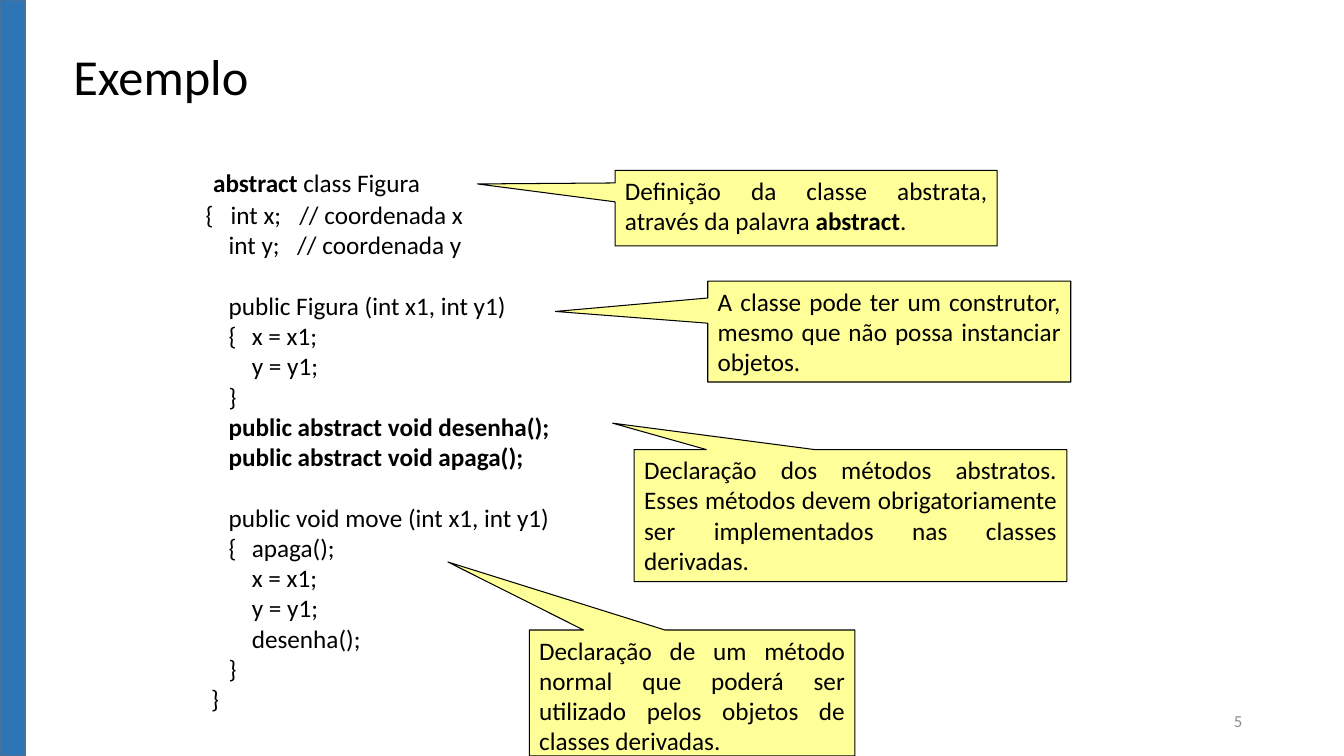
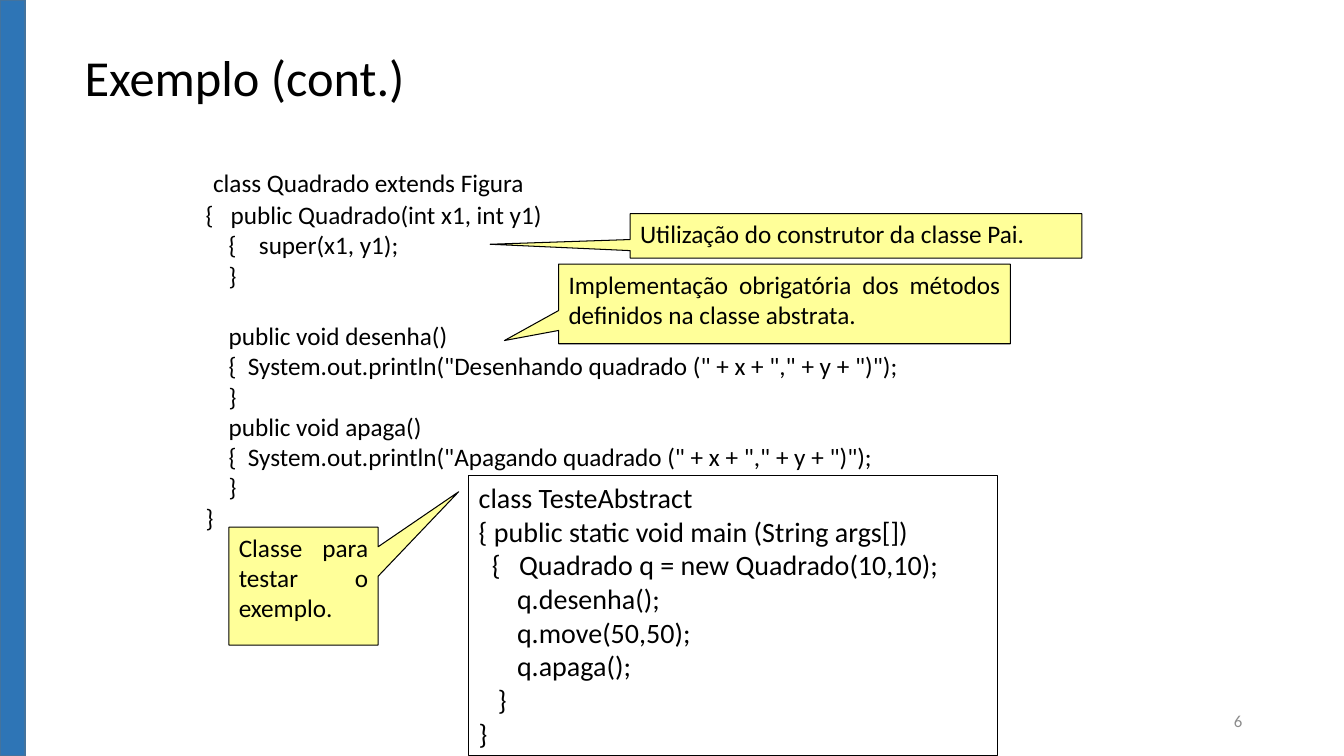
"""Builds two slides on abstract classes in Java."""
from pptx import Presentation
from pptx.dml.color import RGBColor
from pptx.enum import shapes, text
from pptx.oxml import ns, xmlchemy
from pptx.util import Inches, Pt


def paint(code):
    """Turns a hex string into a colour."""
    return RGBColor.from_string(code)


class Deck:
    """Holds the style and the current slide."""

    FONT = "Calibri"
    INK, GREY, NOTE = "000000", "8C8C8C", "FFFF99"
    BAR, EDGE = "2E75B6", "43739E"
    STOPS = (0.23, 0.46)

    def __init__(self):
        """Starts an empty wide deck."""
        self.prs = Presentation()
        self.prs.slide_width = Inches(13.33)
        self.prs.slide_height = Inches(7.5)

    def start(self, title, left, top, page):
        """Adds a slide with its page number and title."""
        self.slide = self.prs.slides.add_slide(self.prs.slide_layouts[6])
        self.label(page, (9.42, 6.95, 3, 0.4), 12, self.GREY, text.PP_ALIGN.RIGHT)
        self.label(title, (left, top, 9, 0.65), 36, self.INK, text.PP_ALIGN.LEFT)

    def frame(self, at):
        """Adds an empty text box that wraps."""
        body = self.slide.shapes.add_textbox(*map(Inches, at)).text_frame
        body.word_wrap = True
        return body

    def label(self, words, at, size, ink, align):
        """Adds one line of text centred in height."""
        body = self.frame(at)
        body.vertical_anchor = text.MSO_ANCHOR.MIDDLE
        self.fill(body.paragraphs[0], words, size, ink, align)

    def fill(self, para, words, size, ink=INK, align=text.PP_ALIGN.LEFT):
        """Writes text into a paragraph, bold between asterisks."""
        para.alignment = align
        for i, part in enumerate(words.split("*")):
            if part:
                run = para.add_run()
                run.text = part
                font = run.font
                font.name, font.size, font.bold = self.FONT, Pt(size), i % 2 == 1
                font.color.rgb = paint(ink)

    def tabs(self, para, stops):
        """Sets the tab stops of a paragraph."""
        props = para._p.get_or_add_pPr()
        group = xmlchemy.OxmlElement("a:tabLst")
        for stop in stops:
            tab = xmlchemy.OxmlElement("a:tab")
            tab.set("pos", str(Inches(stop)))
            tab.set("algn", "l")
            group.append(tab)
        last = props.find(ns.qn("a:defRPr"))
        if last is None:
            props.append(group)
        else:
            last.addprevious(group)

    def code(self, body, blocks, size):
        """Writes blocks of code lines, each a text or a text with tab stops."""
        first = True
        for block in blocks:
            for i, line in enumerate(block):
                words, *stops = (line,) if isinstance(line, str) else line
                para = body.paragraphs[0] if first else body.add_paragraph()
                self.fill(para, words, size)
                self.tabs(para, stops or self.STOPS)
                if i == 0 and not first:
                    para.space_before = Pt(21.6)
                first = False

    def listing(self, blocks):
        """Adds the main code of a slide."""
        body = self.frame((1.94, 1.53, 9.27, 5.6))
        self.code(body, blocks, 18)
        body.paragraphs[0].runs[0].font.size = Pt(24)

    def box(self, kind, at, fill, edge, width):
        """Adds a plain shape with an outline."""
        item = self.slide.shapes.add_shape(kind, *map(Inches, at))
        item.shadow.inherit = False
        if fill:
            item.fill.solid()
            item.fill.fore_color.rgb = paint(fill)
        else:
            item.fill.background()
        item.line.color.rgb = paint(edge)
        item.line.width = Pt(width)
        item.text_frame.word_wrap = True
        item.text_frame.vertical_anchor = text.MSO_ANCHOR.TOP
        return item

    def note(self, words, at, tip):
        """Adds a yellow callout that points at its tip."""
        kind = shapes.MSO_SHAPE.RECTANGULAR_CALLOUT
        item = self.box(kind, at, self.NOTE, self.INK, 0.75)
        item.adjustments[0], item.adjustments[1] = tip
        para = item.text_frame.paragraphs[0]
        self.fill(para, words, 18, align=text.PP_ALIGN.JUSTIFY)

    def panel(self, blocks, at):
        """Adds outlined code."""
        item = self.box(shapes.MSO_SHAPE.RECTANGLE, at, None, self.INK, 0.75)
        item.text_frame.auto_size = text.MSO_AUTO_SIZE.SHAPE_TO_FIT_TEXT
        self.code(item.text_frame, blocks, 20)

    def band(self):
        """Adds the blue band at the left edge."""
        at = (0, 0, 0.25, 7.5)
        self.box(shapes.MSO_SHAPE.RECTANGLE, at, self.BAR, self.EDGE, 1)


deck = Deck()

deck.start("Exemplo", 0.63, 0.42, "5")
deck.listing([
    [" *abstract* class Figura",
     ("{\tint x;\t// coordenada x", 0.25, 0.93),
     ("\tint y;\t// coordenada y", 0.23, 0.91)],
    ["\tpublic Figura (int x1, int y1)",
     "\t{\tx = x1;",
     "\t\ty = y1;",
     "\t}",
     "\t*public abstract void desenha();*",
     "\t*public abstract void apaga();*"],
    ["\tpublic void move (int x1, int y1)",
     "\t{\tapaga();",
     "\t\tx = x1;",
     "\t\ty = y1;",
     "\t\tdesenha();",
     "\t}",
     " }"],
])
for words, at, tip in [
    ("Definição da classe abstrata, através da palavra *abstract*.",
     (6.1, 1.69, 3.79, 0.75), (-0.86, -0.32)),
    ("A classe pode ter um construtor, mesmo que não possa instanciar objetos.",
     (7.02, 2.79, 3.6, 1), (-0.92, -0.2)),
    ("Declaração dos métodos abstratos. Esses métodos devem "
     "obrigatoriamente ser implementados nas classes derivadas.",
     (6.29, 4.46, 4.29, 1.31), (-0.55, -0.7)),
    ("Declaração de um método normal que poderá ser utilizado "
     "pelos objetos de classes derivadas.",
     (5.25, 6.25, 3.23, 1.25), (-0.75, -1.04)),
]:
    deck.note(words, at, tip)
deck.band()

deck.start("Exemplo (cont.)", 0.74, 0.43, "6")
deck.listing([
    [" **class Quadrado extends Figura",
     ("{\tpublic Quadrado(int x1, int y1)", 0.25),
     ("\t{\tsuper(x1, y1);", 0.23, 0.53),
     "\t}"],
    ["\tpublic void desenha()",
     ('\t{\tSystem.out.println("Desenhando quadrado (" + x + "," + y + ")");',
      0.23, 0.42),
     "\t}",
     "\tpublic void apaga()",
     ('\t{\tSystem.out.println("Apagando quadrado (" + x + "," + y + ")");',
      0.23, 0.42),
     "\t}",
     "}"],
])
deck.note("Utilização do construtor da classe Pai.",
          (6.25, 2.12, 4.48, 0.44), (-0.81, 0.19))
deck.panel([[
    "class TesteAbstract",
    "{ public static void main (String args[])",
    ("\t{\tQuadrado q = new Quadrado(10,10);", 0.13, 0.4),
    ("\tq.desenha();", 0.38),
    ("\tq.move(50,50);", 0.38),
    ("\tq.apaga();", 0.38),
    ("\t}", 0.19),
    "}",
]], (4.65, 4.72, 5.24, 2.78))
deck.note("Implementação obrigatória dos métodos definidos na classe abstrata.",
          (5.54, 2.62, 4.48, 0.79), (-0.62, 0.46))
deck.note("Classe para testar o exemplo.",
          (2.27, 5.23, 1.48, 1.17), (1.04, -0.8))
deck.band()

deck.prs.save("out.pptx")
